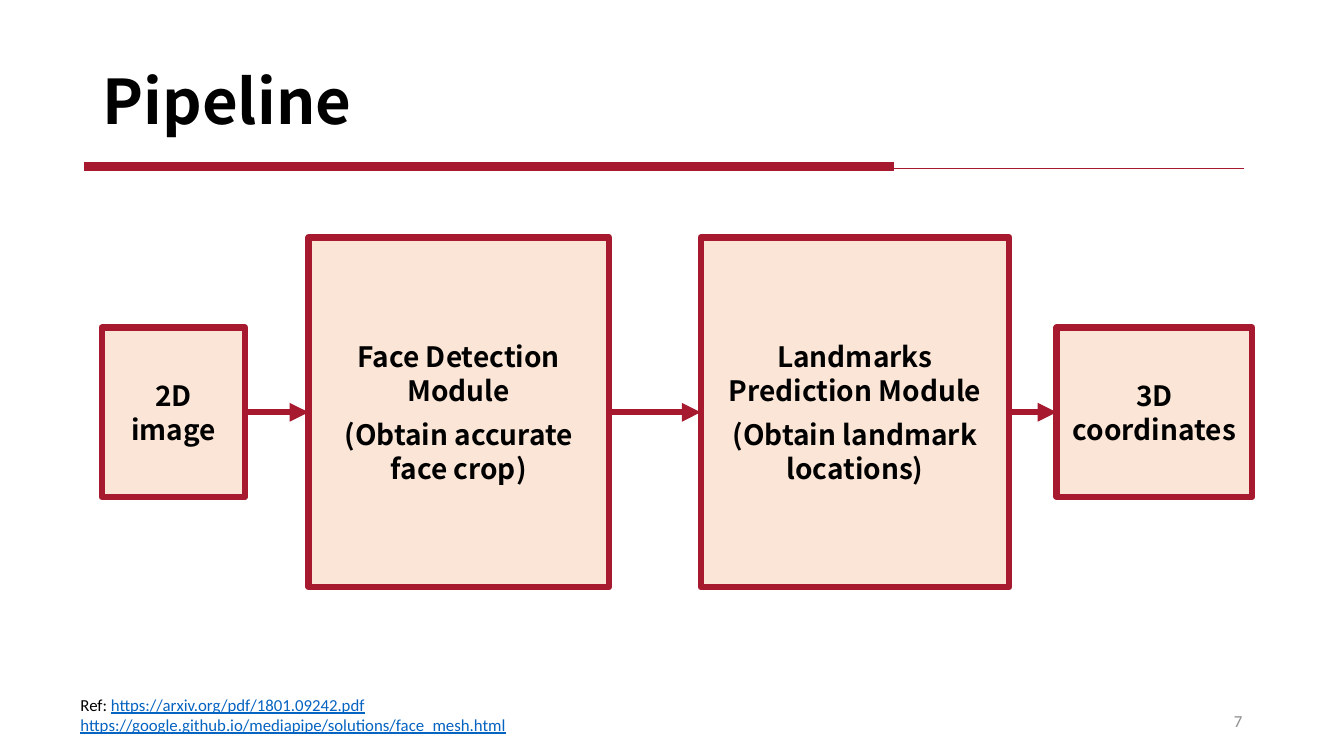
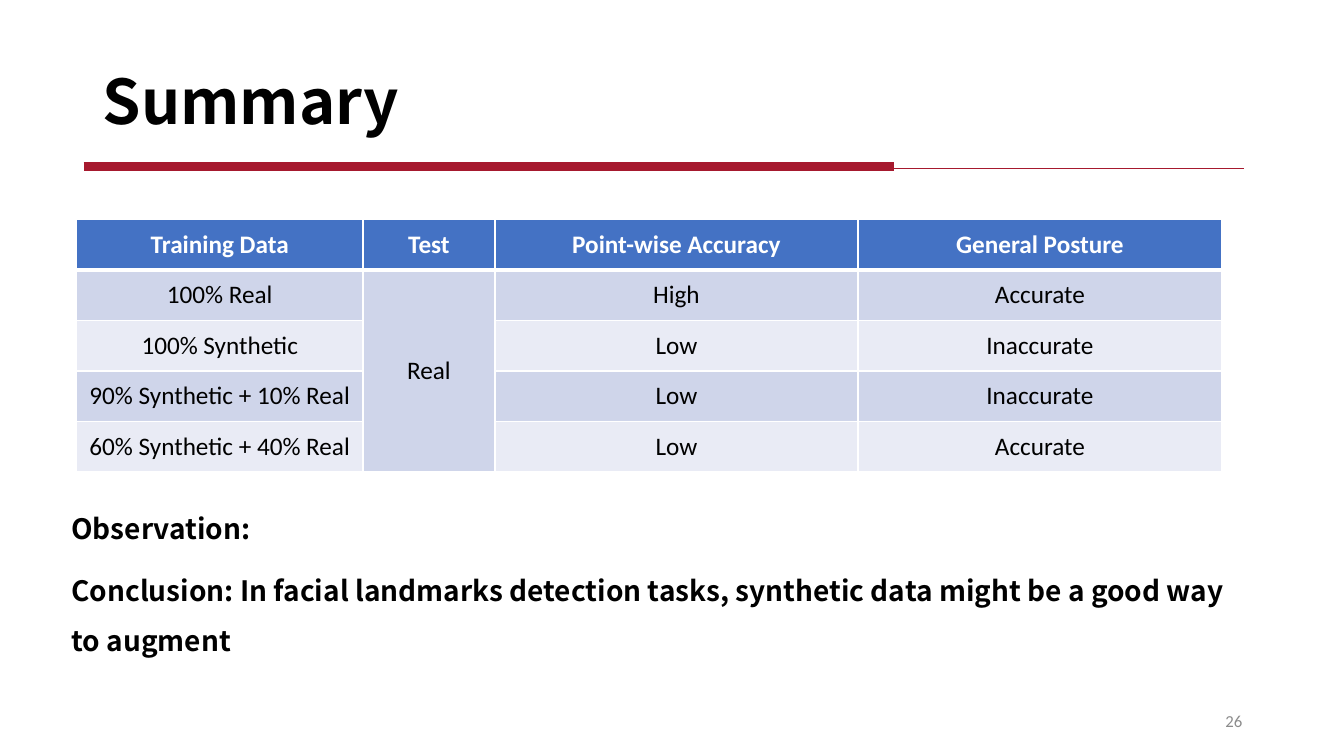
from itertools import pairwise

from lxml.etree import SubElement
from pptx import Presentation
from pptx.dml.color import RGBColor
from pptx.enum.shapes import MSO_CONNECTOR as Connector, MSO_SHAPE as Shape
from pptx.enum.text import MSO_ANCHOR as Anchor, PP_ALIGN as Align
from pptx.oxml.ns import qn
from pptx.util import Inches, Pt

COLORS = {
    "accent": "A6192E", "box": "FBE5D6", "text": "000000", "number": "8C8C8C",
    "link": "0563C1", "header": "4472C4", "odd": "CFD5EA", "even": "E9EBF5",
    "white": "FFFFFF",
}
HEADING_FONT, BODY_FONT = "Noto Sans CJK SC", "Calibri"

PIPELINE_MIDDLE = 4.09
PIPELINE = [
    (1.01, 1.42, 1.68, ["2D image"]),
    (3.06, 2.98, 3.47, ["Face Detection Module", "(Obtain accurate face crop)"]),
    (6.95, 3.06, 3.47, ["Landmarks Prediction Module", "(Obtain landmark locations)"]),
    (10.48, 1.94, 1.68, ["3D coordinates"]),
]
REFERENCES = [
    [("Ref: ", False), ("https://arxiv.org/pdf/1801.09242.pdf", True)],
    [("https://google.github.io/mediapipe/solutions/face_mesh.html", True)],
]
RESULTS = [
    ("Training Data", "Test", "Point-wise Accuracy", "General Posture"),
    ("100% Real", "Real", "High", "Accurate"),
    ("100% Synthetic", "", "Low", "Inaccurate"),
    ("90% Synthetic + 10% Real", "", "Low", "Inaccurate"),
    ("60% Synthetic + 40% Real", "", "Low", "Accurate"),
]
COLUMN_WIDTHS = (2.84, 1.31, 3.6, 3.61)
ROW_HEIGHT = 0.5
TEST_COLUMN = 1
FINDINGS = [
    "Observation:",
    "Conclusion: In facial landmarks detection tasks, synthetic data might be "
    "a good way to augment",
]


def rgb(name):
    return RGBColor.from_string(COLORS[name])


def style_font(font, size, name=BODY_FONT, color="text", bold=False):
    font.size, font.name, font.bold = Pt(size), name, bold
    font.color.rgb = rgb(color)


def write(text_frame, lines, size, align=Align.LEFT, spacing=None, after=0, **style):
    text_frame.word_wrap = True
    text_frame.text = "\n".join(lines)
    for paragraph in text_frame.paragraphs:
        paragraph.alignment = align
        paragraph.line_spacing = spacing
        paragraph.space_after = Pt(after)
        for run in paragraph.runs:
            style_font(run.font, size, **style)


def add_text(slide, left, top, width, height, lines, size, anchor=Anchor.TOP, **style):
    box = slide.shapes.add_textbox(*map(Inches, (left, top, width, height)))
    box.text_frame.vertical_anchor = anchor
    write(box.text_frame, lines, size, **style)
    return box


def add_line(slide, start, end, y, width, arrow=False):
    line = slide.shapes.add_connector(
        Connector.STRAIGHT, Inches(start), Inches(y), Inches(end), Inches(y))
    line.line.color.rgb = rgb("accent")
    line.line.width = Pt(width)
    if arrow:
        SubElement(line.line._get_or_add_ln(), qn("a:tailEnd"), type="triangle")
    SubElement(line._element.spPr, qn("a:effectLst"))


def add_base_slide(presentation, title, number):
    slide = presentation.slides.add_slide(presentation.slide_layouts[6])
    add_text(slide, 9.42, 6.95, 3, 0.4, [str(number)], 12, Anchor.MIDDLE,
             align=Align.RIGHT, color="number")
    add_text(slide, 0.92, 0.31, 11.5, 1.45, [title], 44, Anchor.MIDDLE,
             spacing=0.9, name=HEADING_FONT, bold=True)
    add_line(slide, 0.83, 8.87, 1.65, 6)
    add_line(slide, 7.07, 12.34, 1.67, 0.5)
    return slide


def add_stage(slide, left, width, height, lines):
    top = PIPELINE_MIDDLE - height / 2
    stage = slide.shapes.add_shape(
        Shape.RECTANGLE, *map(Inches, (left, top, width, height)))
    stage.shadow.inherit = False
    stage.fill.solid()
    stage.fill.fore_color.rgb = rgb("box")
    stage.line.color.rgb = rgb("accent")
    stage.line.width = Pt(4.5)
    stage.text_frame.vertical_anchor = Anchor.MIDDLE
    write(stage.text_frame, lines, 20, align=Align.CENTER, after=8,
          name=HEADING_FONT, bold=True)


def add_references(slide):
    box = add_text(slide, 0.7, 6.84, 7.23, 0.5, [""] * len(REFERENCES), 12)
    for paragraph, parts in zip(box.text_frame.paragraphs, REFERENCES):
        for text, is_link in parts:
            run = paragraph.add_run()
            run.text = text
            style_font(run.font, 12, color="link" if is_link else "text")
            run.font.underline = is_link


def add_borders(cell, bottom_width):
    properties = cell._tc.get_or_add_tcPr()
    for side, width in (("L", 1), ("R", 1), ("T", 1), ("B", bottom_width)):
        border = SubElement(properties, qn(f"a:ln{side}"), w=str(Pt(width)))
        fill = SubElement(border, qn("a:solidFill"))
        SubElement(fill, qn("a:srgbClr"), val=COLORS["white"])


def add_results(slide):
    size = sum(COLUMN_WIDTHS), ROW_HEIGHT * len(RESULTS)
    table = slide.shapes.add_table(
        len(RESULTS), len(COLUMN_WIDTHS), *map(Inches, (0.76, 2.18, *size))).table
    for column, width in zip(table.columns, COLUMN_WIDTHS):
        column.width = Inches(width)
    for row_index, values in enumerate(RESULTS):
        is_header = row_index == 0
        band = "header" if is_header else "odd" if row_index % 2 else "even"
        table.rows[row_index].height = Inches(ROW_HEIGHT)
        for column_index, value in enumerate(values):
            cell = table.cell(row_index, column_index)
            add_borders(cell, 3 if is_header else 1)
            cell.fill.solid()
            cell.fill.fore_color.rgb = rgb(band)
            cell.vertical_anchor = Anchor.MIDDLE
            write(cell.text_frame, [value], 18, align=Align.CENTER,
                  color="white" if is_header else "text", bold=is_header)
    table.cell(1, TEST_COLUMN).merge(table.cell(len(RESULTS) - 1, TEST_COLUMN))


def build_pipeline(presentation):
    slide = add_base_slide(presentation, "Pipeline", 7)
    for stage in PIPELINE:
        add_stage(slide, *stage)
    for (left, width, *_), (next_left, *_) in pairwise(PIPELINE):
        add_line(slide, left + width, next_left, PIPELINE_MIDDLE, 4.5, arrow=True)
    add_references(slide)


def build_summary(presentation):
    slide = add_base_slide(presentation, "Summary", 26)
    add_results(slide)
    add_text(slide, 0.61, 4.86, 11.65, 1.7, FINDINGS, 20, spacing=1.5, after=8,
             name=HEADING_FONT, bold=True)


def main():
    presentation = Presentation()
    presentation.slide_width = Inches(13.33)
    presentation.slide_height = Inches(7.5)
    build_pipeline(presentation)
    build_summary(presentation)
    presentation.save("out.pptx")


if __name__ == "__main__":
    main()
